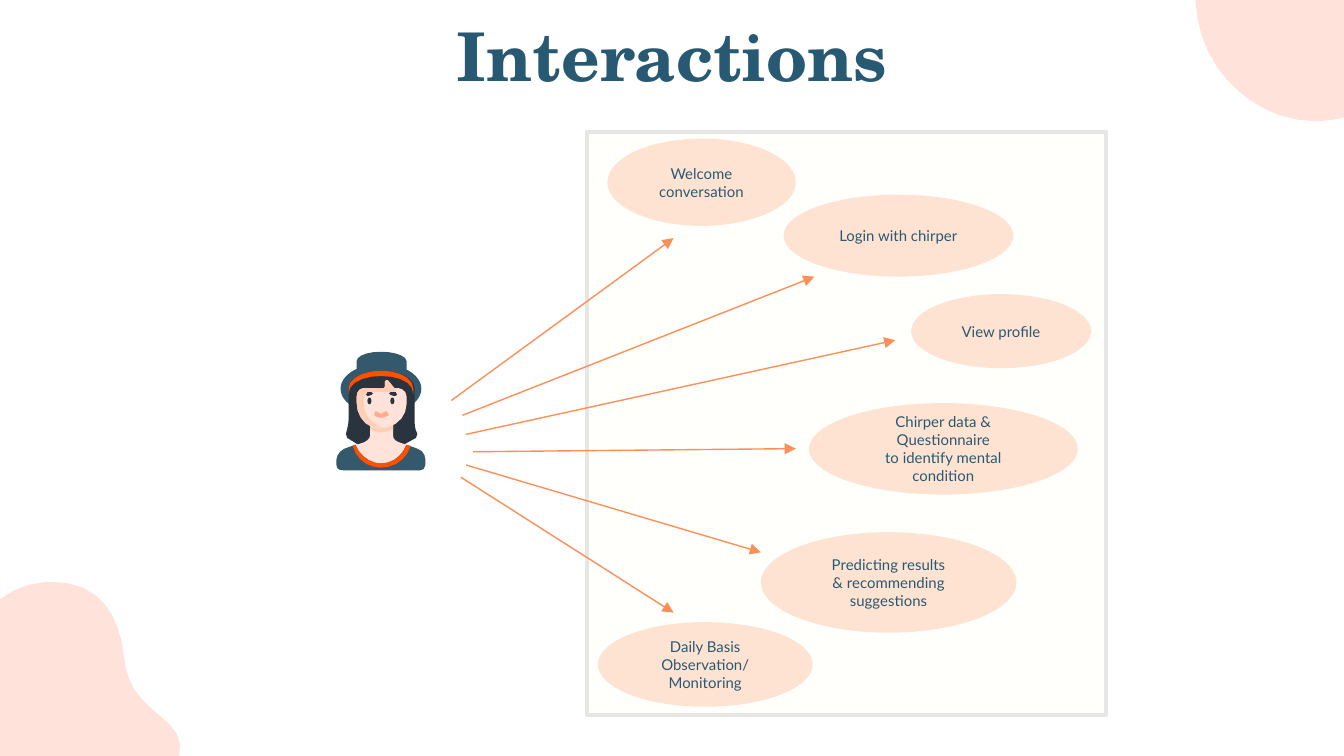
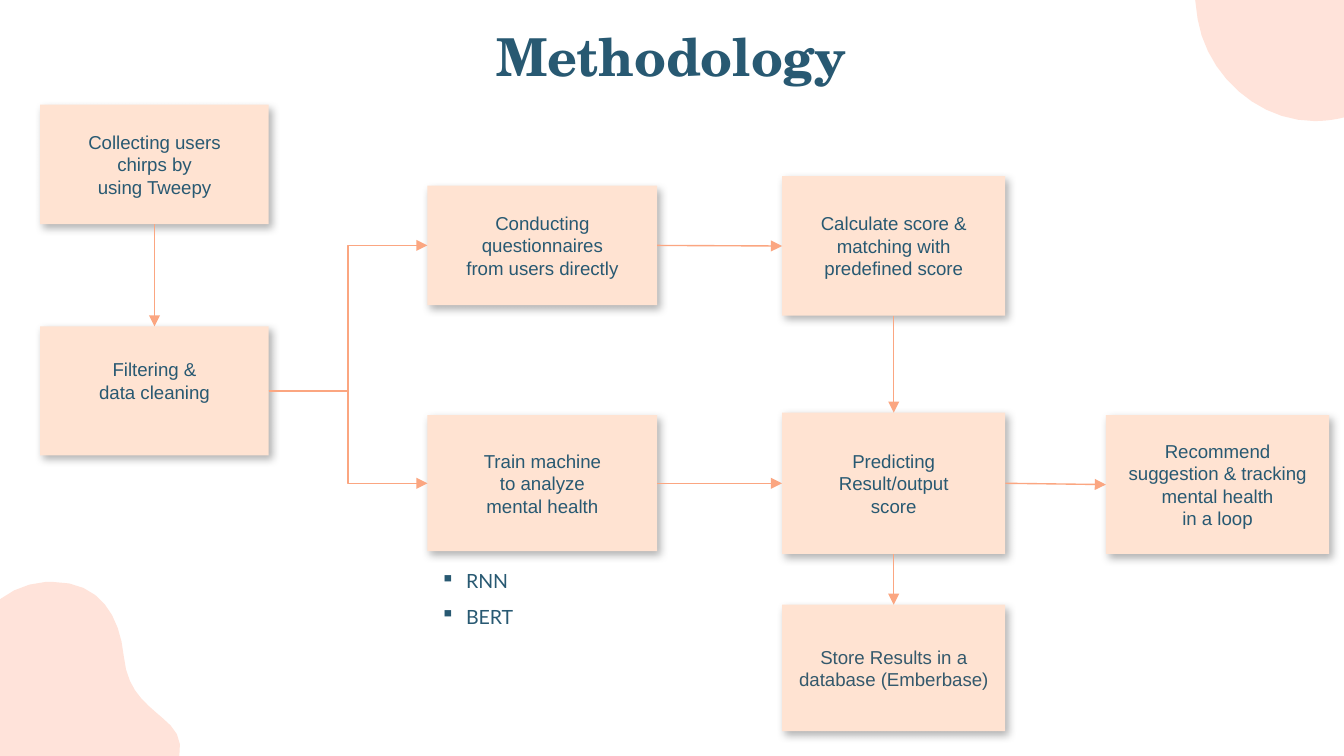
"""Build two slides: user interactions and a methodology flowchart."""
from math import ceil, sqrt

from lxml import etree
from pptx import Presentation
from pptx.dml.color import RGBColor
from pptx.enum.shapes import MSO_CONNECTOR, MSO_SHAPE
from pptx.enum.text import MSO_ANCHOR, PP_ALIGN
from pptx.oxml.ns import qn
from pptx.util import Cm, Pt

RECT, OVAL = MSO_SHAPE.RECTANGLE, MSO_SHAPE.OVAL
STRAIGHT, ELBOW = MSO_CONNECTOR.STRAIGHT, MSO_CONNECTOR.ELBOW
CENTER, LEFT = PP_ALIGN.CENTER, PP_ALIGN.LEFT
TOP, MIDDLE = MSO_ANCHOR.TOP, MSO_ANCHOR.MIDDLE
SITE_TOP, SITE_LEFT, SITE_BOTTOM, SITE_RIGHT = range(4)

NAVY, SLATE, HAIR, ORANGE = "285972", "34596C", "29343E", "FF5000"
BLUSH, PEACH, TAN, LIP = "FFE3DA", "FFE3D2", "FFCEB5", "FFAC88"
IVORY, SILVER = "FFFFFC", "E6E6E4"
RAY, FLOW = "FC8E57", "FBA681"

BLOB_GRID = (179, 172)
BLOB = [(76, 0), (71, 0), (29, 3, 0, 46, 10, 96),
        (17, 138, 55, 172, 97, 172), (105, 172, 112, 171, 120, 169),
        (172, 153, 179, 122, 164, 107), (149, 92, 132, 85, 129, 55),
        (126, 26, 112, 0, 76, 0)]

USER_GRID = (66, 88)
SLEEVES = [(6, 72), (3, 73, 0, 77, 0, 80), (0, 84), (0, 87, 2, 88, 5, 88), (62, 88),
           (64, 88, 66, 87, 66, 84), (66, 80), (66, 77, 64, 73, 60, 72)]
NECKLINE = [(52, 69), (49, 77, 42, 83, 33, 83), (25, 83, 17, 77, 14, 69)]
FRINGE = [(37, 21), (36, 22), (36, 26), (35, 27), (20, 27), (17, 27, 15, 30, 15, 33), (15, 38)]
HAT_TOP = [(33, 0), (23, 0, 15, 3, 15, 7), (15, 14), (52, 14), (52, 7), (52, 3, 43, 0, 33, 0)]
HAIR_LINE = [(33, 14), (20, 14, 9, 20, 9, 27), (9, 50), (9, 54, 8, 57, 7, 61), (8, 64),
             (16, 69), (22, 71, 28, 72, 33, 72), (39, 72, 45, 71, 50, 69), (59, 64),
             (60, 61), (58, 57, 58, 54, 58, 50), (58, 27), (58, 20, 47, 14, 33, 14)]
BODY = [(25, 53), (25, 62), (25, 64, 23, 66, 21, 67), *SLEEVES, (46, 67),
        (43, 66, 42, 64, 42, 62), (42, 53)]
NECK_SHADE = [(25, 53), (25, 58), (33, 60), (42, 58), (42, 53)]
FACE = [*FRINGE, (15, 48, 22, 57, 32, 57), (43, 57, 52, 49, 52, 39), (52, 33),
        (52, 30, 49, 27, 46, 27), (43, 27), (38, 21)]
FACE_SHADE = [*FRINGE, (15, 46, 20, 54, 28, 56), (36, 57), (27, 55, 20, 47, 20, 38),
              (20, 36), (20, 33, 23, 30, 26, 30), (43, 30), (46, 27), (43, 27), (38, 21)]
MOUTH = [(29, 44), (28, 47), (29, 48, 31, 49, 33, 49), (35, 49, 37, 48, 39, 47),
         (37, 44), (33, 46)]
LEFT_BROW = [(26, 30), (23, 30), (22, 32), (23, 33), (26, 32), (27, 31)]
RIGHT_BROW = [(40, 30), (39, 31), (40, 32), (43, 33), (45, 32), (44, 30)]
COAT = [(14, 69), *SLEEVES, *NECKLINE]
COLLAR = [(14, 69), (12, 70), (15, 80, 23, 86, 33, 86), (43, 86, 52, 80, 55, 70), *NECKLINE]
HAT_BAND = [(33, 14), (20, 14, 9, 20, 9, 27), (9, 31), (9, 23, 20, 18, 33, 18),
            (47, 18, 57, 23, 57, 31), (57, 27), (57, 20, 47, 14, 33, 14)]
LOWER_LAYERS = [(HAIR_LINE, HAIR), (BODY, BLUSH), (NECK_SHADE, TAN), (FACE, BLUSH),
                (FACE_SHADE, TAN), (MOUTH, LIP), (LEFT_BROW, HAIR), (RIGHT_BROW, HAIR),
                (COAT, SLATE), (COLLAR, ORANGE), (HAT_BAND, ORANGE)]

USE_CASES = [
    ((3.71, 1.19, 4.34, 1.55), ["Login with chirper"]),
    ((6.12, 3.07, 3.4, 1.4), ["View profile"]),
    ((0.38, 0.13, 3.56, 1.65), ["Welcome conversation"]),
    ((4.19, 5.13, 5.08, 1.73), ["Chirper data & Questionnaire", "to identify mental condition"]),
    ((3.28, 7.57, 4.83, 1.9), ["Predicting results", "& recommending suggestions"]),
    ((0.2, 9.27, 4.06, 1.6), ["Daily Basis Observation/", "Monitoring"]),
]
RAYS = [((-2.57, 5.08), (1.63, 2.01)), ((-2.36, 5.36), (4.29, 2.74)),
        ((-2.29, 5.72), (5.82, 3.94)), ((-2.16, 6.05), (3.94, 5.99)),
        ((-2.29, 6.3), (3.28, 7.95)), ((-2.39, 6.53), (1.63, 9.09))]

STEPS = {
    "collect": ((0, 0, 4.32, 2.26), ["Collecting users", "chirps by", "using Tweepy"]),
    "train": ((7.32, 5.87, 4.34, 2.57), ["Train machine", "to analyze", "mental health"]),
    "predict": ((14.02, 5.82, 4.22, 2.67), ["Predicting", "Result/output", "score"]),
    "recommend": ((20.14, 5.87, 4.22, 2.62),
                  ["Recommend", "suggestion & tracking mental health", "in a loop"]),
    "filter": ((0, 4.19, 4.32, 2.44), ["Filtering &", "data cleaning"]),
    "question": ((7.32, 1.53, 4.34, 2.26),
                 ["Conducting", "questionnaires", "from users directly"]),
    "score": ((14.02, 1.35, 4.22, 2.64), ["Calculate score & matching with predefined score"]),
    "store": ((14.02, 9.45, 4.22, 2.39), ["Store Results in a database (Emberbase)"]),
}
DOWN, ACROSS = (SITE_BOTTOM, SITE_TOP), (SITE_RIGHT, SITE_LEFT)
LINKS = [("collect", "filter", DOWN, STRAIGHT), ("question", "score", ACROSS, STRAIGHT),
         ("train", "predict", ACROSS, STRAIGHT), ("score", "predict", DOWN, STRAIGHT),
         ("predict", "recommend", ACROSS, STRAIGHT), ("filter", "question", ACROSS, ELBOW),
         ("filter", "train", ACROSS, ELBOW), ("predict", "store", DOWN, STRAIGHT)]


def rgb(value):
    """Turn a hex string into a colour."""
    return RGBColor.from_string(value)


def apply(target, values):
    """Set each named attribute of the target."""
    for name, value in values.items():
        setattr(target, name, value)


def within(box, part):
    """Shift a part by the corner of its box."""
    return (box[0] + part[0], box[1] + part[1], *part[2:])


def add_child(parent, tag, **attributes):
    """Append a drawing element with the given attributes."""
    child = etree.SubElement(parent, qn(tag))
    for name, value in attributes.items():
        child.set(name, str(value))
    return child


def write(frame, lines, font, color, align=CENTER, anchor=MIDDLE, inset=0.13):
    """Write the lines as paragraphs of one text frame."""
    apply(frame, {"word_wrap": True, "vertical_anchor": anchor,
                  "margin_left": Cm(0.25), "margin_right": Cm(0.25),
                  "margin_top": Cm(inset), "margin_bottom": Cm(inset)})
    frame.text = "\n".join(lines)
    for paragraph in frame.paragraphs:
        paragraph.alignment = align
        for run in paragraph.runs:
            apply(run.font, font)
            run.font.color.rgb = rgb(color)


def paint(shape, fill, line=None):
    """Give a shape a flat fill and an optional outline."""
    shape.shadow.inherit = False
    shape.fill.solid()
    shape.fill.fore_color.rgb = rgb(fill)
    if line:
        shape.line.color.rgb = rgb(line)
        shape.line.width = Pt(2)
    else:
        shape.line.fill.background()


def add_block(shapes, kind, box, fill, line=None):
    """Add a painted preset shape."""
    block = shapes.add_shape(kind, *map(Cm, box))
    paint(block, fill, line)
    return block


def flatten(outline):
    """Turn line and curve steps into points, with more of them on longer curves."""
    points = [outline[0]]
    for step in outline[1:]:
        if len(step) == 2:
            points.append(step)
            continue
        x0, y0 = points[-1]
        x1, y1, x2, y2, x3, y3 = step
        pieces = ceil(sqrt(max(abs(x3 - x0), abs(y3 - y0))))
        for index in range(1, pieces + 1):
            t = index / pieces
            a, b, c, d = (1 - t) ** 3, 3 * t * (1 - t) ** 2, 3 * t * t * (1 - t), t ** 3
            points.append((a * x0 + b * x1 + c * x2 + d * x3,
                           a * y0 + b * y1 + c * y2 + d * y3))
    return points


def add_outline(shapes, box, grid, outline, fill):
    """Draw an outline given on a grid that spans the box."""
    left, top, width, height = map(Cm, box)
    points = [(round(left + x * width / grid[0]), round(top + y * height / grid[1]))
              for x, y in flatten(outline)]
    builder = shapes.build_freeform(*points[0])
    builder.add_line_segments(points[1:], close=True)
    paint(builder.convert_to_shape(), fill)


def add_arrow(shapes, kind, start, end, color):
    """Add a thin connector with an arrowhead at its end."""
    arrow = shapes.add_connector(kind, *map(Cm, (*start, *end)))
    arrow.line.color.rgb = rgb(color)
    arrow.line.width = Pt(0.75)
    add_child(arrow.line._get_or_add_ln(), "a:tailEnd", type="triangle")
    add_child(arrow._element.spPr, "a:effectLst")
    return arrow


def start_slide(deck, title, box, size):
    """Add a slide with the corner blobs and a title."""
    shapes = deck.slides.add_slide(deck.slide_layouts[6]).shapes
    for left, top in ((22.38, -2.08), (-0.94, 11)):
        add_outline(shapes, (left, top, 4.55, 4.37), BLOB_GRID, BLOB, BLUSH)
    heading = shapes.add_textbox(*map(Cm, box))
    font = {"name": "TeX Gyre Schola", "size": Pt(size), "bold": True}
    write(heading.text_frame, [title], font, NAVY, anchor=TOP, inset=0.25)
    return shapes


def draw_user(shapes, box):
    """Draw the user with a hat inside the box."""
    user = shapes.add_group_shape().shapes
    unit = box[2] / USER_GRID[0]

    def oval(fill, *part):
        """Add an oval given in grid units."""
        add_block(user, OVAL, within(box, [unit * value for value in part]), fill)

    add_outline(user, box, USER_GRID, HAT_TOP, SLATE)
    oval(SLATE, 3, 9, 60, 37)
    for outline, fill in LOWER_LAYERS:
        add_outline(user, box, USER_GRID, outline, fill)
    for eye in (23, 40):
        oval(HAIR, eye, 34, 3, 5)


def draw_system(shapes, box):
    """Draw the system frame, its use cases and the rays to them."""
    add_block(shapes, RECT, box, IVORY, SILVER)
    for place, lines in USE_CASES:
        use_case = add_block(shapes, OVAL, within(box, place), PEACH)
        write(use_case.text_frame, lines, {"name": "Lato", "size": Pt(8)}, NAVY)
    for start, end in RAYS:
        add_arrow(shapes, STRAIGHT, within(box, start), within(box, end), RAY)


def cast_shadow(shape):
    """Add a soft shadow to the lower right."""
    effects = shape._element.spPr.find(qn("a:effectLst"))
    shadow = add_child(effects, "a:outerShdw", blurRad=Pt(4.5), dist=Pt(2.6),
                       dir=53 * 60000, algn="tl", rotWithShape=0)
    black = add_child(shadow, "a:srgbClr", val="000000")
    add_child(black, "a:alpha", val=29000)


def draw_flowchart(shapes, box):
    """Draw the steps and the arrows between them."""
    steps = {}
    for key, (place, lines) in STEPS.items():
        step = steps[key] = add_block(shapes, RECT, within(box, place), PEACH)
        cast_shadow(step)
        write(step.text_frame, lines, {"name": "Arial", "size": Pt(10)},
              SLATE if key == "store" else NAVY)
    steps["filter"].text_frame.margin_bottom = Cm(0.53)
    for source, target, (leave, enter), kind in LINKS:
        arrow = add_arrow(shapes, kind, (0, 0), (1, 1), FLOW)
        arrow.begin_connect(steps[source], leave)
        arrow.end_connect(steps[target], enter)


def draw_models(shapes, box, names):
    """List the model names with square bullets."""
    models = shapes.add_textbox(*map(Cm, box)).text_frame
    write(models, names, {"name": "Lato", "size": Pt(10.5)}, NAVY, LEFT, TOP)
    for paragraph in models.paragraphs:
        paragraph.line_spacing = 1.5
        layout = paragraph._p.get_or_add_pPr()
        layout.set("marL", str(Cm(0.48)))
        layout.set("indent", str(-Cm(0.48)))
        add_child(add_child(layout, "a:buClr"), "a:srgbClr", val=NAVY)
        add_child(layout, "a:buChar", char="▪")


def main():
    """Build and save the deck."""
    deck = Presentation()
    apply(deck, {"slide_width": Cm(25.4), "slide_height": Cm(14.29)})
    interactions = start_slide(deck, "Interactions", (7.09, 0.03, 11.23, 1.85), 36)
    draw_system(interactions, (11.1, 2.49, 9.8, 11.02))
    draw_user(interactions, (6.36, 6.65, 1.68, 2.24))
    methodology = start_slide(deck, "Methodology", (8.69, 0.2, 8, 2.34), 28)
    draw_flowchart(methodology, (0.76, 1.98))
    draw_models(methodology, (8.08, 10.41, 4.39, 1.6), ["RNN", "BERT"])
    deck.save("out.pptx")


if __name__ == "__main__":
    main()
